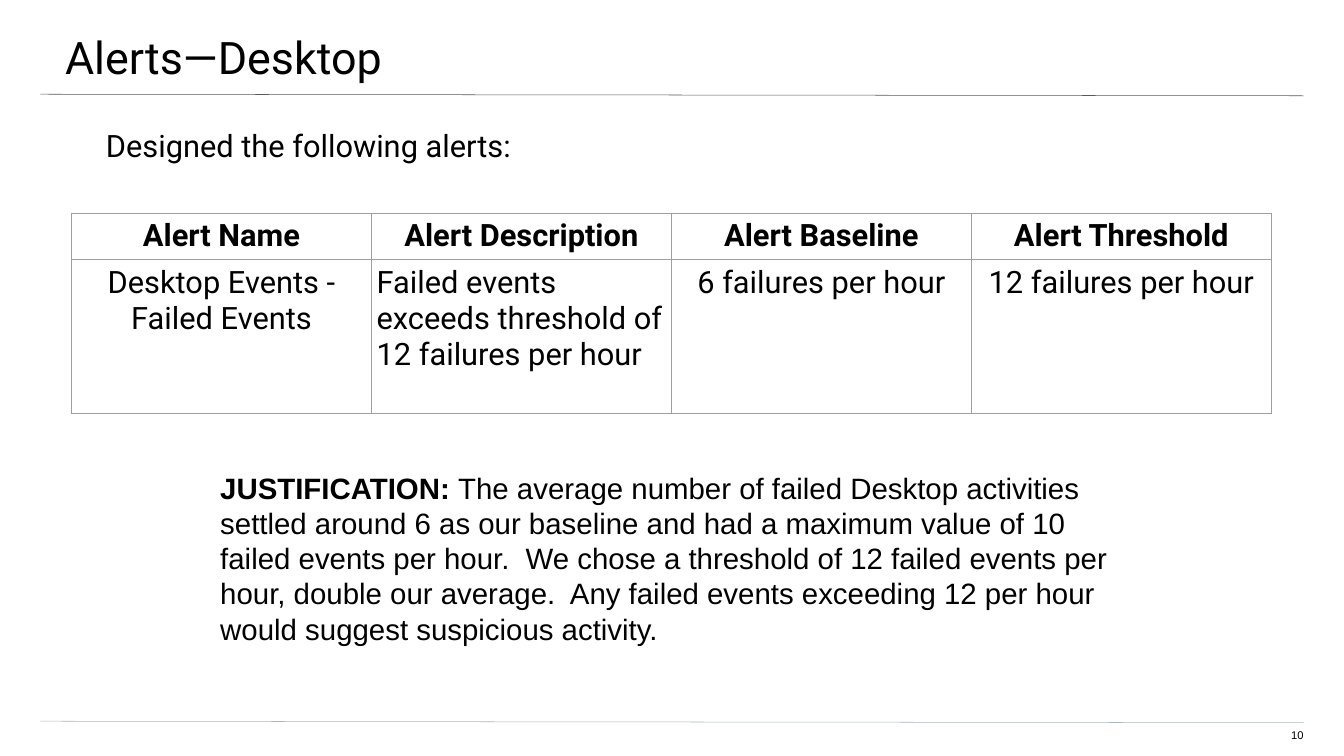
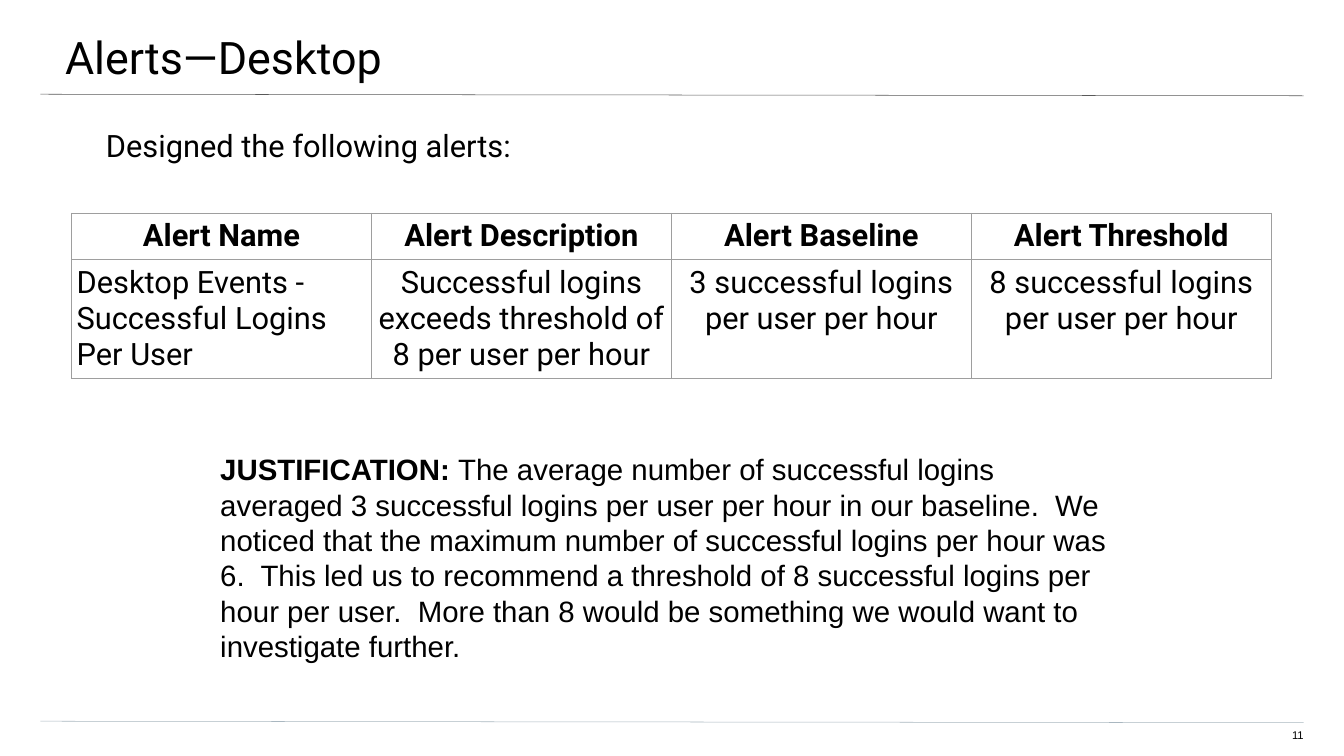
from lxml import etree
from pptx import Presentation
from pptx.dml.color import RGBColor
from pptx.enum.shapes import MSO_CONNECTOR
from pptx.enum.text import MSO_ANCHOR, MSO_AUTO_SIZE, PP_ALIGN
from pptx.oxml.ns import qn
from pptx.util import Inches, Pt

# Shared look
BLACK, TOP_RULE, BOTTOM_RULE, GRID = "000000", "595959", "A9B7C0", "9E9E9E"
HEADING_FONT, TEXT_FONT = "Roboto", "Arial"
TITLE = "Alerts—Desktop"
INTRO = "Designed the following alerts:"
HEADERS = ["Alert Name", "Alert Description", "Alert Baseline", "Alert Threshold"]
COLUMN_WIDTH, HEADER_HEIGHT = 5.95, 0.92
LEFT, RIGHT, CENTER = PP_ALIGN.LEFT, PP_ALIGN.RIGHT, PP_ALIGN.CENTER

# What differs from slide to slide
ALERTS = [
    {
        "number": 10,
        "cells": ["Desktop Events - Failed Events",
                  "Failed events exceeds threshold of 12 failures per hour",
                  "6 failures per hour", "12 failures per hour"],
        "left_column": 1,
        "row_height": 3.05,
        "reason_place": (4.27, 9.22, 18.12, 3.74),
        "reason": "The average number of failed Desktop activities settled around 6 "
                  "as our baseline and had a maximum value of 10 failed events per hour.  "
                  "We chose a threshold of 12 failed events per hour, double our average.  "
                  "Any failed events exceeding 12 per hour would suggest suspicious activity.",
    },
    {
        "number": 11,
        "cells": ["Desktop Events - Successful Logins Per User",
                  "Successful logins exceeds threshold of 8 per user per hour",
                  "3 successful logins per user per hour",
                  "8 successful logins per user per hour"],
        "left_column": 0,
        "row_height": 2.33,
        "reason_place": (4.27, 8.86, 18.12, 4.44),
        "reason": "The average number of successful logins averaged 3 successful logins "
                  "per user per hour in our baseline.  We noticed that the maximum number "
                  "of successful logins per hour was 6.  This led us to recommend a "
                  "threshold of 8 successful logins per hour per user.  More than 8 would "
                  "be something we would want to investigate further.",
    },
]


def color(value):
    return RGBColor.from_string(value)


def format_paragraph(para, size, font, align=LEFT, bold=None):
    para.alignment = align
    para.font.size = Pt(size)
    para.font.name = font
    para.font.bold = bold
    para.font.color.rgb = color(BLACK)


def set_frame(frame, insets):
    frame.word_wrap = True
    frame.auto_size = MSO_AUTO_SIZE.NONE
    frame.vertical_anchor = MSO_ANCHOR.TOP
    (frame.margin_left, frame.margin_top,
     frame.margin_right, frame.margin_bottom) = map(Inches, insets)


def add_text(page, place, insets, parts, size, font, align=LEFT):
    """Add one paragraph made of (text, bold) parts."""
    box = page.shapes.add_textbox(*map(Inches, place))
    set_frame(box.text_frame, insets)
    para = box.text_frame.paragraphs[0]
    format_paragraph(para, size, font, align)
    for text, bold in parts:
        span = para.add_run()
        span.text = text
        if bold:
            span.font.bold = True


def add_rule(page, y, line_color):
    rule = page.shapes.add_connector(MSO_CONNECTOR.STRAIGHT, Inches(0.8), Inches(y),
                                     Inches(25.86), Inches(y + 0.03))
    rule.line.color.rgb = color(line_color)
    rule.line.width = Pt(0.75)
    etree.SubElement(rule._element.spPr, qn("a:effectLst"))


def add_title(page):
    title = page.shapes.title
    title.left, title.top, title.width, title.height = map(Inches, (-0.04, 0, 26.73, 1.56))
    title.text_frame.text = TITLE
    set_frame(title.text_frame, (1.33, 0.58, 0.8, 0.27))
    format_paragraph(title.text_frame.paragraphs[0], 64, HEADING_FONT)


def add_borders(cell):
    properties = cell._tc.get_or_add_tcPr()
    for position, side in enumerate(("lnL", "lnR", "lnT", "lnB")):
        line = etree.Element(qn(f"a:{side}"), w=str(Pt(0.75)))
        fill = etree.SubElement(line, qn("a:solidFill"))
        etree.SubElement(fill, qn("a:srgbClr"), val=GRID)
        properties.insert(position, line)


def add_alert_table(page, alert):
    heights = [HEADER_HEIGHT, alert["row_height"]]
    frame = page.shapes.add_table(2, len(HEADERS), Inches(1.42), Inches(4.23),
                                  Inches(COLUMN_WIDTH * len(HEADERS)), Inches(sum(heights)))
    table = frame.table
    table.first_row = table.horz_banding = False
    for column in table.columns:
        column.width = Inches(COLUMN_WIDTH)
    for row_index, texts in enumerate([HEADERS, alert["cells"]]):
        table.rows[row_index].height = Inches(heights[row_index])
        for column_index, text in enumerate(texts):
            cell = table.cell(row_index, column_index)
            cell.text = text
            cell.margin_left = cell.margin_right = Inches(0.1)
            cell.margin_top = cell.margin_bottom = Inches(0.1)
            is_header = row_index == 0
            is_left = not is_header and column_index == alert["left_column"]
            format_paragraph(cell.text_frame.paragraphs[0], 44, HEADING_FONT,
                             LEFT if is_left else CENTER, is_header)
            cell.fill.background()
            add_borders(cell)


def add_alert_slide(deck, alert):
    page = deck.slides.add_slide(deck.slide_layouts[5])
    # Rules, title and page number
    add_rule(page, 1.87, TOP_RULE)
    add_rule(page, 14.31, BOTTOM_RULE)
    add_title(page)
    add_text(page, (25.1, 14.46, 0.76, 0.31), (0, 0, 0, 0.27),
             [(str(alert["number"]), False)], 16, TEXT_FONT, RIGHT)
    # Intro, table and justification
    add_text(page, (0.77, 2.51, 25.09, 10.79), (1.33, 0, 1.33, 2.67),
             [(INTRO, False)], 44, HEADING_FONT)
    add_alert_table(page, alert)
    add_text(page, alert["reason_place"], (0.1, 0.1, 0.1, 0.1),
             [("JUSTIFICATION: ", True), (alert["reason"], False)], 42, TEXT_FONT)


def main():
    deck = Presentation()
    deck.slide_width, deck.slide_height = Inches(26.66), Inches(15)
    for alert in ALERTS:
        add_alert_slide(deck, alert)
    deck.save("out.pptx")


if __name__ == "__main__":
    main()
